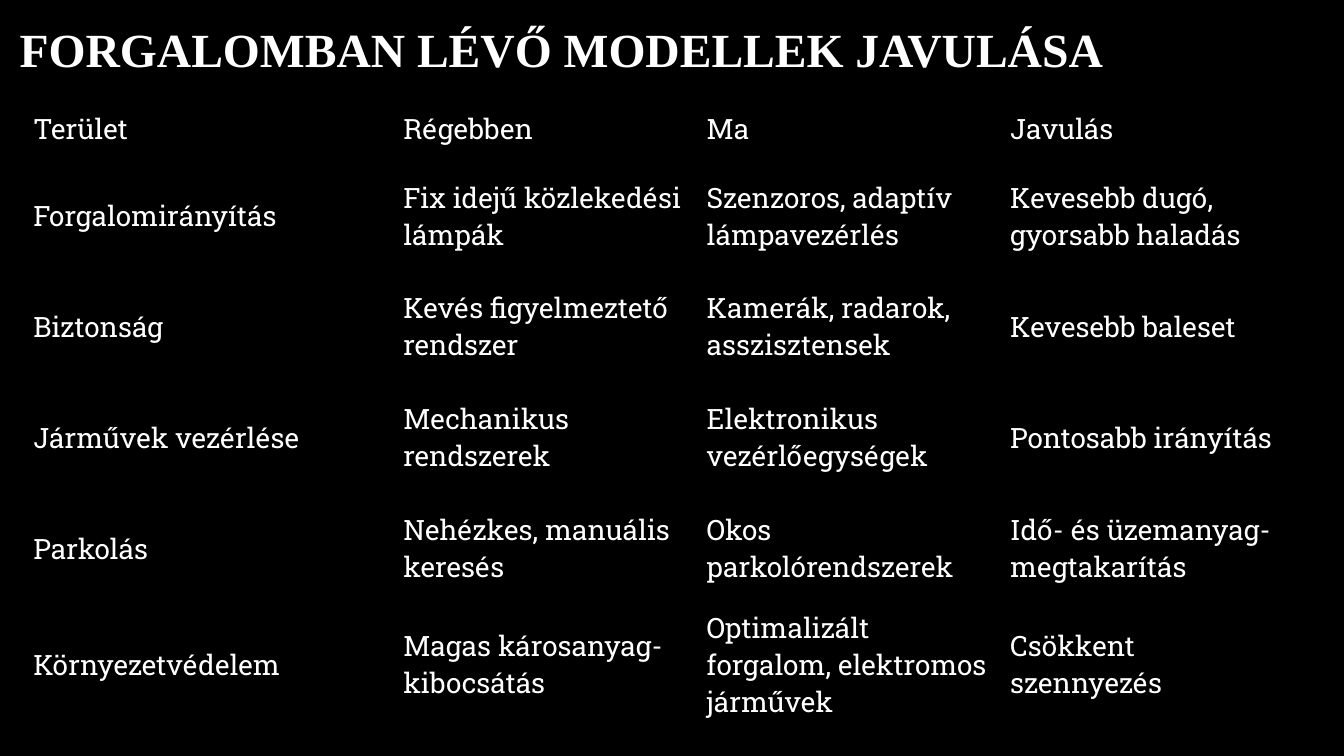
"""Build a slide comparing past and present traffic solutions in a table."""
import pptx
import pptx.dml.color
import pptx.enum.text
import pptx.oxml.ns
import pptx.util

Inches = pptx.util.Inches
MIDDLE = pptx.enum.text.MSO_ANCHOR.MIDDLE
THEME = {
    "background": pptx.dml.color.RGBColor.from_string("000000"),
    "text": pptx.dml.color.RGBColor.from_string("FFFFFF"),
    "title": {"name": "Times New Roman", "size": pptx.util.Pt(34), "bold": True},
    "body": {"name": "Roboto Slab", "size": pptx.util.Pt(20), "bold": False},
    "plain_table": "{2D5ABB26-0587-4C30-8999-92F81FD0307C}",
}
COMPARISON = [
    ("Terület", "Régebben", "Ma", "Javulás"),
    ("Forgalomirányítás", "Fix idejű közlekedési lámpák",
     "Szenzoros, adaptív lámpavezérlés", "Kevesebb dugó, gyorsabb haladás"),
    ("Biztonság", "Kevés figyelmeztető rendszer",
     "Kamerák, radarok, asszisztensek", "Kevesebb baleset"),
    ("Járművek vezérlése", "Mechanikus rendszerek",
     "Elektronikus vezérlőegységek", "Pontosabb irányítás"),
    ("Parkolás", "Nehézkes, manuális keresés",
     "Okos parkolórendszerek", "Idő- és üzemanyag-megtakarítás"),
    ("Környezetvédelem", "Magas károsanyag-kibocsátás",
     "Optimalizált forgalom, elektromos járművek", "Csökkent szennyezés"),
]


def write(frame, text, style):
    """Put styled text in a frame and return its paragraph."""
    paragraph = frame.paragraphs[0]
    run = paragraph.add_run()
    run.text = text
    for attribute, value in THEME[style].items():
        setattr(run.font, attribute, value)
    run.font.color.rgb = THEME["text"]
    return paragraph


deck = pptx.Presentation()
deck.slide_width, deck.slide_height = Inches(13.33), Inches(7.5)
slide = deck.slides.add_slide(deck.slide_layouts[5])
slide.background.fill.solid()
slide.background.fill.fore_color.rgb = THEME["background"]

heading = slide.shapes.title
heading.left, heading.top = Inches(-0.09), Inches(-0.21)
heading.width, heading.height = Inches(11.32), Inches(1.45)
heading.text_frame.word_wrap = True
heading.text_frame.auto_size = pptx.enum.text.MSO_AUTO_SIZE.NONE
heading.text_frame.vertical_anchor = MIDDLE
heading_line = write(heading.text_frame, "FORGALOMBAN LÉVŐ MODELLEK JAVULÁSA", "title")
heading_line.alignment = pptx.enum.text.PP_ALIGN.CENTER
heading_line.line_spacing = 0.9

comparison = slide.shapes.add_table(
    len(COMPARISON), len(COMPARISON[0]),
    Inches(0.23), Inches(0.96), Inches(12.7), Inches(6.13)).table
comparison.first_row = comparison.horz_banding = False
comparison._tbl.tblPr.find(pptx.oxml.ns.qn("a:tableStyleId")).text = THEME["plain_table"]
for index, column in enumerate(comparison.columns):
    column.width = Inches(3.01 if index else 3.67)
for index, area in enumerate(COMPARISON):
    comparison.rows[index].height = Inches(1.1 if index else 0.63)
    for position, entry in enumerate(area):
        cell = comparison.cell(index, position)
        cell.fill.background()
        cell.vertical_anchor = MIDDLE
        write(cell.text_frame, entry, "body")

deck.save("out.pptx")
